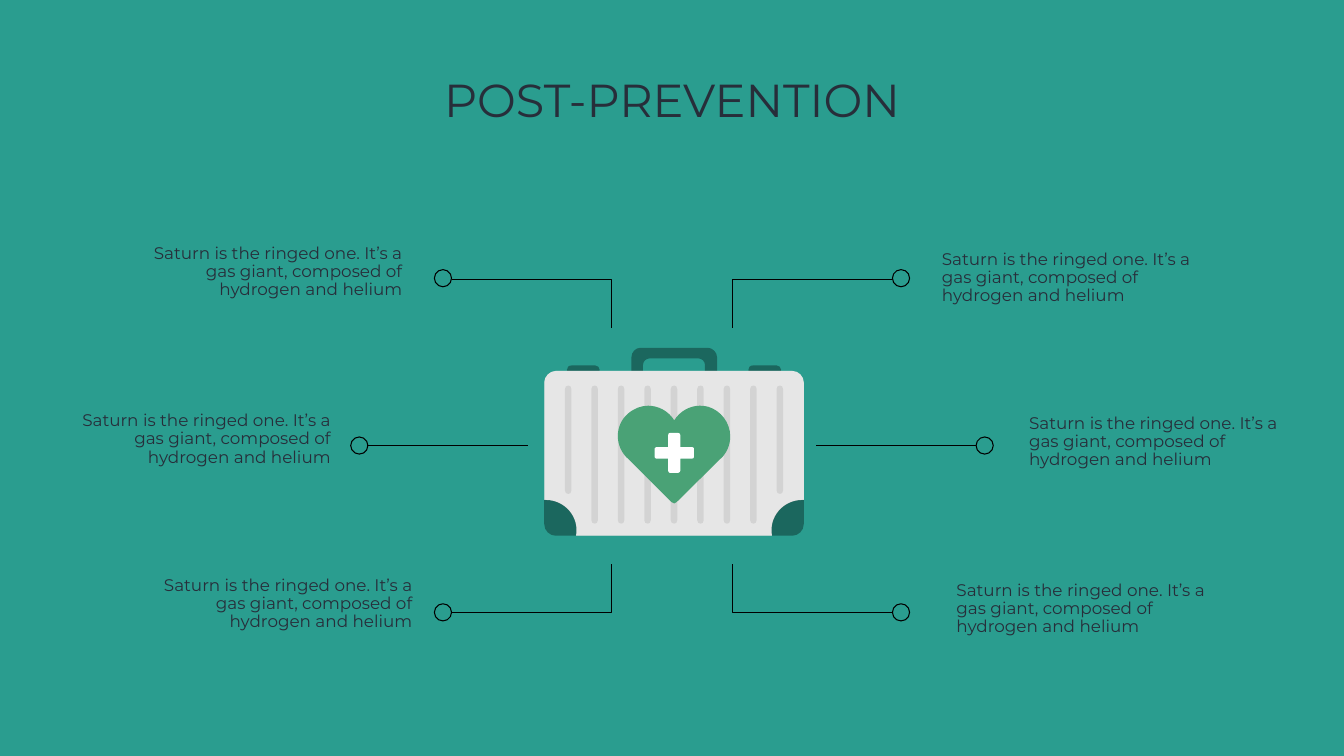
"""Build the post-prevention slide: a first-aid case with six labelled callouts."""
from lxml import etree
from pptx import Presentation
from pptx.dml.color import RGBColor
from pptx.enum.shapes import MSO_CONNECTOR, MSO_SHAPE
from pptx.enum.text import MSO_ANCHOR, PP_ALIGN
from pptx.oxml.ns import qn
from pptx.util import Pt

PX = 9144
WIDTH, HEIGHT = 2667, 1500
INSET = 27
FONT = "Montserrat"
LABEL = "Saturn is the ringed one. It’s a gas giant, composed of hydrogen and helium"

TEAL = RGBColor(0x2A, 0x9D, 0x8F)
INK = RGBColor(0x27, 0x2E, 0x3A)
BLACK = RGBColor(0x00, 0x00, 0x00)
WHITE = RGBColor(0xFF, 0xFF, 0xFF)
GRAY = RGBColor(0xD1, 0xD1, 0xD1)
GREEN = RGBColor(0x4A, 0xA2, 0x76)

STRAIGHT = MSO_CONNECTOR.STRAIGHT
OVAL = MSO_SHAPE.OVAL
RECTANGLE = MSO_SHAPE.RECTANGLE
MIDDLE = MSO_ANCHOR.MIDDLE
LEFT, CENTER, RIGHT = PP_ALIGN.LEFT, PP_ALIGN.CENTER, PP_ALIGN.RIGHT


def add_text(text, left, top, width, height, size, align):
    box = slide.shapes.add_textbox(left * PX, top * PX, width * PX, height * PX)
    frame = box.text_frame
    frame.word_wrap = True
    frame.vertical_anchor = MIDDLE
    frame.margin_left = frame.margin_right = INSET * PX
    frame.margin_top = frame.margin_bottom = INSET * PX
    paragraph = frame.paragraphs[0]
    paragraph.text = text
    paragraph.alignment = align
    paragraph.line_spacing = 0.9
    paragraph.font.size = Pt(size)
    paragraph.font.name = FONT
    paragraph.font.color.rgb = INK


def add_case_part(contours, color, opacity=100):
    """Draw closed contours; pairs are line ends and sextets are cubic curves."""
    builder = None
    for start, *segments in contours:
        first = round(start[0] * PX), round(start[1] * PX)
        if builder is None:
            builder = case.shapes.build_freeform(*first)
        else:
            builder.move_to(*first)
        ends = [(round(s[-2] * PX), round(s[-1] * PX)) for s in segments]
        builder.add_line_segments(ends, close=False)
        builder.add_line_segments([], close=True)
    shape = builder.convert_to_shape()
    all_segments = [segment for contour in contours for segment in contour[1:]]
    for node, segment in zip(list(shape.element.iter(qn("a:lnTo"))), all_segments):
        if len(segment) == 6:
            node.tag = qn("a:cubicBezTo")
            for index in (0, 1):
                x, y = segment[2 * index:2 * index + 2]
                control = etree.Element(qn("a:pt"), x=str(round(x * PX) - shape.left),
                                        y=str(round(y * PX) - shape.top))
                node.insert(index, control)
    shape.shadow.inherit = False
    shape.fill.solid()
    shape.fill.fore_color.rgb = color
    if opacity < 100:
        fill_color = shape.element.find(".//" + qn("a:srgbClr"))
        etree.SubElement(fill_color, qn("a:alpha"), val=str(opacity * 1000))
    shape.line.fill.background()


presentation = Presentation()
presentation.slide_width = WIDTH * PX
presentation.slide_height = HEIGHT * PX
slide = presentation.slides.add_slide(presentation.slide_layouts[6])
backdrop = slide.shapes.add_shape(RECTANGLE, 0, 0, WIDTH * PX, HEIGHT * PX)
backdrop.shadow.inherit = False
backdrop.fill.solid()
backdrop.fill.fore_color.rgb = TEAL
backdrop.line.fill.background()

for circle_left, circle_top in [(862, 535), (696, 867), (862, 1198)]:
    for left in (circle_left, WIDTH - circle_left - 34):
        circle = slide.shapes.add_shape(OVAL, left * PX, circle_top * PX, 34 * PX, 34 * PX)
        circle.shadow.inherit = False
        circle.fill.background()
        circle.line.color.rgb = BLACK
        circle.line.width = Pt(1.5)

for outer, inner in [(730, 1047), (WIDTH - 730, WIDTH - 1047)]:
    line = slide.shapes.add_connector(STRAIGHT, outer * PX, 884 * PX, inner * PX, 884 * PX)
    line.line.color.rgb = BLACK
    line.line.width = Pt(1.5)
    etree.SubElement(line.element.spPr, qn("a:effectLst"))

for outer, inner in [(897, 1214), (WIDTH - 897, WIDTH - 1214)]:
    for outer_y, inner_y in [(554, 650), (1216, 1119)]:
        builder = slide.shapes.build_freeform(outer, outer_y, scale=PX)
        builder.add_line_segments([(inner, outer_y), (inner, inner_y)], close=False)
        elbow = builder.convert_to_shape()
        elbow.shadow.inherit = False
        elbow.fill.background()
        elbow.line.color.rgb = BLACK
        elbow.line.width = Pt(1.5)

case = slide.shapes.add_group_shape()
handle_hole = [(1385, 711), (1393, 711, 1399, 717, 1399, 724), (1399, 765),
               (1399, 773, 1393, 779, 1385, 779), (1290, 779),
               (1282, 779, 1276, 773, 1276, 765), (1276, 724),
               (1276, 717, 1282, 711, 1290, 711)]
handle_rim = [(1271, 690), (1261, 690, 1253, 699, 1253, 709), (1253, 763),
              (1253, 774, 1261, 782, 1271, 782), (1404, 782),
              (1414, 782, 1423, 774, 1423, 763), (1423, 709),
              (1423, 699, 1414, 690, 1404, 690)]
add_case_part([handle_hole, handle_rim], BLACK, 34)

for x in (1122, 1482):
    add_case_part([[(x + 13, 725), (x + 6, 725, x + 3, 729, x + 3, 734),
                    (x + 3, 739, x + 6, 744, x + 13, 744), (x + 59, 744),
                    (x + 64, 744, x + 68, 739, x + 68, 734),
                    (x + 68, 729, x + 64, 725, x + 59, 725)]], BLACK, 34)

body = [(1103, 736), (1091, 736, 1080, 747, 1080, 759), (1080, 992),
        (1081, 992, 1082, 992, 1083, 992),
        (1121, 992, 1150, 1026, 1143, 1063), (1532, 1063),
        (1525, 1026, 1554, 992, 1592, 992), (1593, 992, 1594, 992, 1595, 992), (1595, 759),
        (1595, 747, 1585, 736, 1572, 736)]
for color, opacity in [(GRAY, 100), (WHITE, 46)]:
    add_case_part([body], color, opacity)

for edge, side in [(1080, 1), (1595, -1)]:
    x3, x23, x41, x63, x70 = [edge + side * offset for offset in (3, 23, 41, 63, 70)]
    add_case_part([[(x3, 992), (edge + side * 2, 992, edge + side, 992, edge, 992), (edge, 1040),
                    (edge, 1053, edge + side * 11, 1063, x23, 1063), (x63, 1063),
                    (x70, 1026, x41, 992, x3, 992)]], BLACK, 34)

for index in range(9):
    x = 1121 + 52.5 * index
    bottom = 980 if index in (0, 8) else 1039
    add_case_part([[(x + 7, 765), (x + 3, 765, x, 767, x, 772), (x, bottom - 7),
                    (x, bottom - 2, x + 3, bottom, x + 7, bottom),
                    (x + 10, bottom, x + 13, bottom - 2, x + 13, bottom - 7),
                    (x + 13, 772), (x + 13, 767, x + 10, 765, x + 7, 765)]], BLACK, 8)

heart = [(1389, 805), (1369, 805, 1349, 816, 1338, 834), (1326, 815, 1306, 805, 1286, 805),
         (1273, 805, 1259, 810, 1247, 820), (1219, 843, 1219, 887, 1247, 911), (1332, 996),
         (1334, 998, 1336, 999, 1338, 999), (1340, 999, 1342, 998, 1343, 996), (1429, 911),
         (1442, 900, 1449, 883, 1449, 866), (1449, 839, 1431, 815, 1405, 807),
         (1400, 806, 1395, 805, 1389, 805)]
add_case_part([heart], GREEN)

cross = [(1329, 859), (1327, 859, 1326, 861, 1326, 863), (1326, 887), (1302, 887),
         (1300, 887, 1299, 888, 1299, 890), (1299, 907),
         (1299, 909, 1300, 910, 1302, 910), (1326, 910), (1326, 934),
         (1326, 936, 1327, 938, 1329, 938), (1346, 938),
         (1348, 938, 1350, 936, 1350, 934), (1350, 910), (1373, 910),
         (1375, 910, 1377, 909, 1377, 907), (1377, 890),
         (1377, 888, 1375, 887, 1373, 887), (1350, 887), (1350, 863),
         (1350, 861, 1348, 859, 1346, 859)]
add_case_part([cross], WHITE)

add_text("POST-PREVENTION", 210, 157, 2247, 93, size=66, align=CENTER)
for left, top, align in [(275, 467, RIGHT), (133, 799, RIGHT), (295, 1126, RIGHT),
                         (1842, 479, LEFT), (2015, 804, LEFT), (1871, 1135, LEFT)]:
    add_text(LABEL, left, top, 550, 146, size=24, align=align)

presentation.save("out.pptx")
